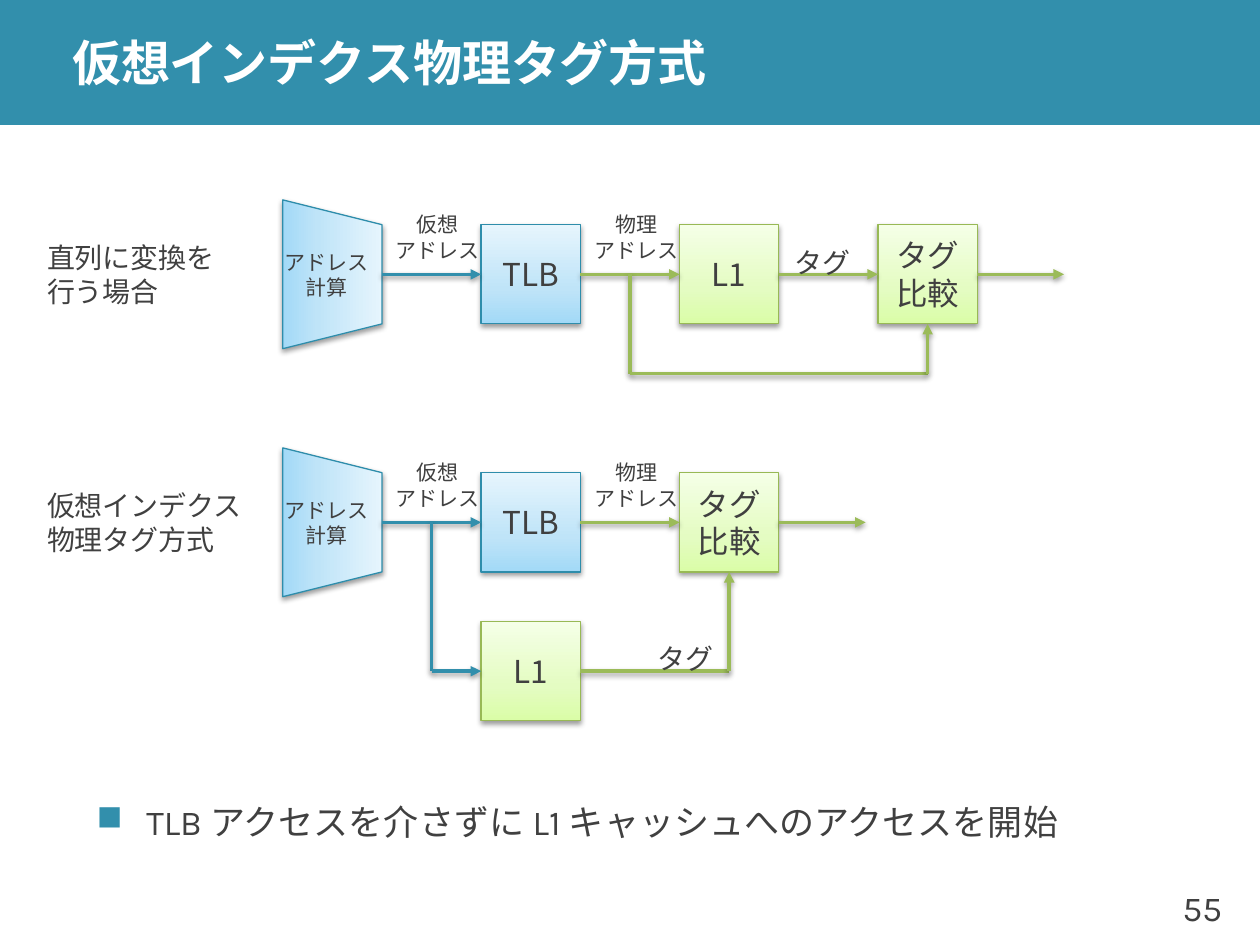
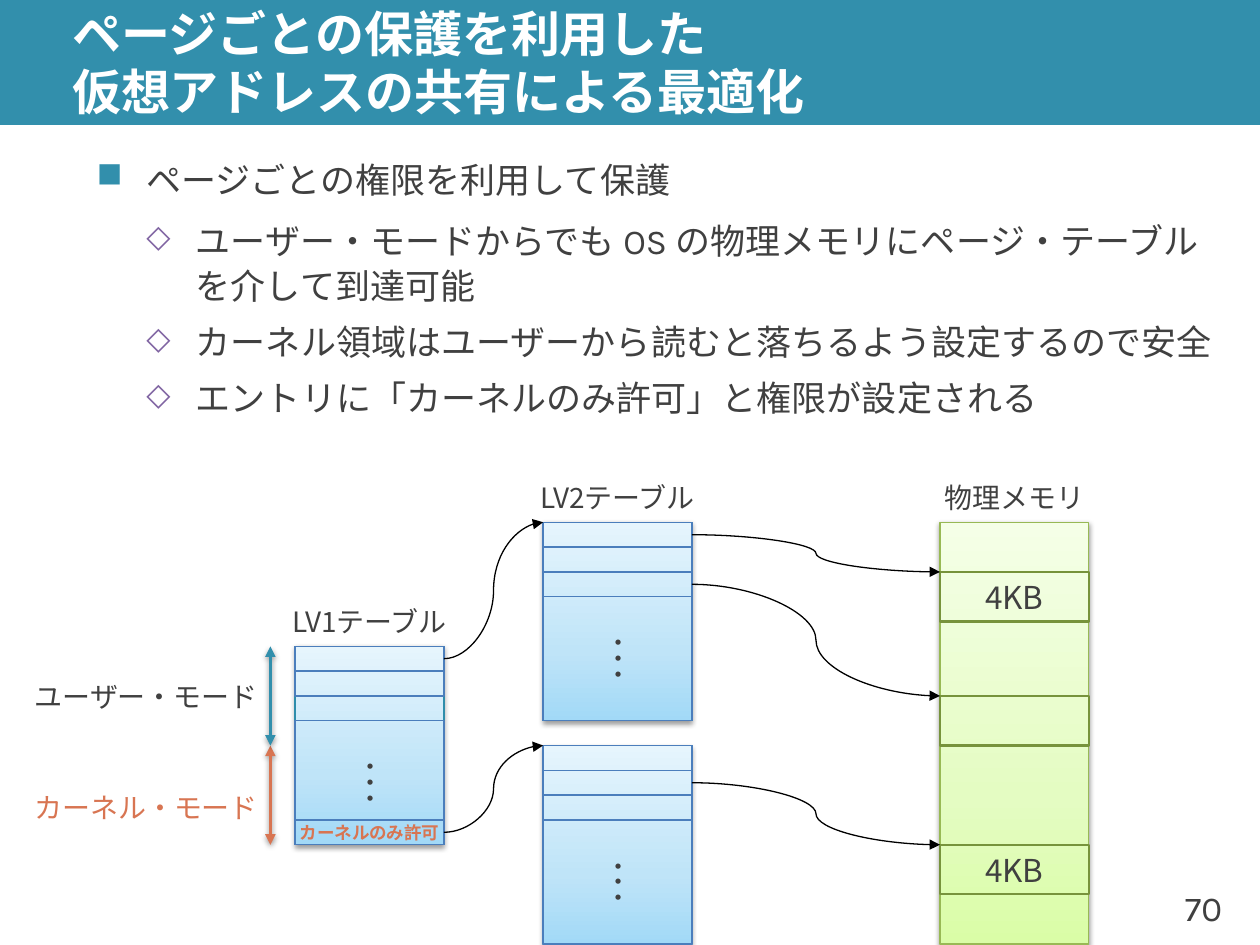
from dataclasses import dataclass
from pptx import Presentation
from pptx.dml.color import RGBColor
from pptx.enum import shapes, text
from pptx.oxml import parse_xml
from pptx.oxml.ns import nsdecls, qn
from pptx.util import Cm, Pt

TEAL = RGBColor(0x32, 0x8F, 0xAC)
TEAL_EDGE = RGBColor(0x2E, 0x8D, 0xAB)
GREEN = RGBColor(0x9B, 0xBB, 0x59)
GREEN_EDGE = RGBColor(0x98, 0xB9, 0x55)
BLOCK_EDGE = RGBColor(0x77, 0x93, 0x3C)
ROW_EDGE = RGBColor(0x4B, 0x7E, 0xBC)
PURPLE = RGBColor(0x80, 0x64, 0xA2)
ORANGE = RGBColor(0xD8, 0x75, 0x52)
INK = RGBColor(0x40, 0x40, 0x40)
BLACK = RGBColor(0, 0, 0)
WHITE = RGBColor(0xFF, 0xFF, 0xFF)

BLUE_BOX = (("A2D9F7", "BFE4F8", "E6F5FD"), TEAL_EDGE)
GREEN_BOX = (("DAFDA7", "E4FCC2", "F5FFE7"), GREEN_EDGE)
BODY_FONT, LABEL_FONT = "Karla", "Noto Sans CJK JP"
LEFT, CENTER, RIGHT = text.PP_ALIGN.LEFT, text.PP_ALIGN.CENTER, text.PP_ALIGN.RIGHT
RECT, TRAPEZOID = shapes.MSO_SHAPE.RECTANGLE, shapes.MSO_SHAPE.TRAPEZOID
STRAIGHT, CURVE = shapes.MSO_CONNECTOR.STRAIGHT, shapes.MSO_CONNECTOR.CURVE

# bullet, colour, size in percent, indent in cm, space before and after in pt
LEVELS = (("■", TEAL, 100, 1, 24, 6), ("◇", PURPLE, 90, 2, 3, 3))

TAG_METHOD = dict(
    title="仮想インデクス物理タグ方式", number="55", body_top=15.53, body_height=2,
    body=[(0, "TLB アクセスを介さずに L1 キャッシュへのアクセスを開始")])
PROTECTION = dict(
    title="ページごとの保護を利用した\v仮想アドレスの共有による最適化",
    number="70", body_top=3.28, body_height=5,
    body=[(0, "ページごとの権限を利用して保護"),
          (1, "ユーザー・モードからでも OS の物理メモリにページ・テーブルを介して到達可能"),
          (1, "カーネル領域はユーザーから読むと落ちるよう設定するので安全"),
          (1, "エントリに「カーネルのみ許可」と権限が設定される")])

# Diagram places are in cm, counted from the origin of the diagram.
ROW_MIDDLES = (5, 10)
ROW_HEADINGS = ("直列に変換を\n行う場合", "仮想インデクス\n物理タグ方式")
STAGES = [  # left, middle, text, style
    (9, 5, "TLB", BLUE_BOX), (13, 5, "L1", GREEN_BOX), (17, 5, "タグ\n比較", GREEN_BOX),
    (9, 10, "TLB", BLUE_BOX), (13, 10, "タグ\n比較", GREEN_BOX), (9, 13, "L1", GREEN_BOX)]
WIRES = [  # colour, corner points; the last stretch carries the arrowhead
    (TEAL, [(7, 5), (9, 5)]), (GREEN, [(11, 5), (13, 5)]),
    (GREEN, [(15, 5), (17, 5)]), (GREEN, [(19, 5), (20.75, 5)]),
    (GREEN, [(12, 5), (12, 7), (18, 7), (18, 6)]),
    (TEAL, [(7, 10), (9, 10)]), (GREEN, [(11, 10), (13, 10)]),
    (GREEN, [(15, 10), (16.75, 10)]),
    (TEAL, [(8, 10), (8, 13), (9, 13)]),
    (GREEN, [(11, 13), (14, 13), (14, 11)])]
TAG_LABELS = [(15, 4.25), (12.25, 12.25)]

TABLES = [  # left, top, tops of the thin rows, text of the last thin row
    (10, 10, (0, 0.5, 1), ""), (5, 12.5, (0, 0.5, 3.5), "カーネルのみ許可"),
    (10, 14.5, (0, 0.5, 1), "")]
MEMORY_BLOCKS = [(11, "4KB"), (13.5, ""), (16.5, "4KB")]
POINTERS = [((13, 10.25), (18, 11)), ((13, 11.25), (18, 13.5)), ((13, 15.25), (18, 16.5)),
            ((8, 12.75), (10, 10)), ((8, 16.25), (10, 14.5))]
MODES = [(16.5, 14.5, ORANGE), (14.5, 12.5, TEAL)]
CAPTIONS = [(18.5, 9, "物理メモリ", INK), (10.5, 9, "LV2テーブル", INK),
            (5.5, 11.5, "LV1テーブル", INK),
            (1, 13, "ユーザー・モード", INK), (1, 15.25, "カーネル・モード", ORANGE)]


def assign(target, **values):
    for name, value in values.items():
        setattr(target, name, value)


def style_span(span, size, color=INK, font=LABEL_FONT, bold=False):
    assign(span.font, name=font, size=Pt(size), bold=bold)
    span.font.color.rgb = color
    latin = span.font._element.find(qn("a:latin"))
    latin.addnext(parse_xml(f'<a:ea {nsdecls("a")} typeface="{font}"/>'))


def write(box, content, size, color=INK, align=CENTER, font=LABEL_FONT, bold=False, spacing=1.2):
    frame = box.text_frame
    assign(frame, text=content, word_wrap=False, auto_size=text.MSO_AUTO_SIZE.NONE,
           vertical_anchor=text.MSO_ANCHOR.MIDDLE)
    for para in frame.paragraphs:
        assign(para, alignment=align, line_spacing=Pt(round(size * spacing, 1)))
        for span in para.runs:
            style_span(span, size, color, font, bold)


def set_effects(item, shadow):
    """Append the effect list; the line must have been set before."""
    drop = ('<a:outerShdw blurRad="39370" dist="20320" dir="5400000" rotWithShape="0">'
            '<a:srgbClr val="000000"><a:alpha val="38000"/></a:srgbClr></a:outerShdw>')
    item._element.spPr.append(parse_xml(
        f'<a:effectLst {nsdecls("a")}>{drop if shadow else ""}</a:effectLst>'))


def set_gradient(shape, colors):
    stops = "".join(f'<a:gs pos="{place * 1000}"><a:srgbClr val="{color}"/></a:gs>'
                    for place, color in zip((0, 35, 100), colors))
    shape.fill.background()
    empty = shape._element.spPr.find(qn("a:noFill"))
    empty.getparent().replace(empty, parse_xml(
        f'<a:gradFill {nsdecls("a")} rotWithShape="1"><a:gsLst>{stops}</a:gsLst>'
        '<a:lin ang="16200000" scaled="0"/></a:gradFill>'))


def turn_text(shape):
    shape.text_frame._txBody.bodyPr.set("vert", "vert270")


@dataclass
class Diagram:
    page: object
    left: float
    top: float

    def place(self, x, y):
        return Cm(round(self.left + x, 2)), Cm(round(self.top + y, 2))

    def box(self, x, y, width, height, edge, colors=None, weight=0.75, kind=RECT):
        """Gradient box with a shadow, or a bare outline when no colours are given."""
        shape = self.page.shapes.add_shape(kind, *self.place(x, y), Cm(width), Cm(height))
        if colors:
            set_gradient(shape, colors)
        else:
            shape.fill.background()
        shape.line.color.rgb = edge
        shape.line.width = Pt(weight)
        set_effects(shape, bool(colors))
        return shape

    def label(self, x, y, content, size, width=1.75, **style):
        box = self.page.shapes.add_textbox(*self.place(x, y), Cm(width), Cm(1))
        write(box, content, size, **style)

    def line(self, start, end, color, weight=2, kind=STRAIGHT, ends=("tail",)):
        link = self.page.shapes.add_connector(kind, *self.place(*start), *self.place(*end))
        link.line.color.rgb = color
        link.line.width = Pt(weight)
        for end_name in ends:
            link.line._ln.append(parse_xml(
                f'<a:{end_name}End {nsdecls("a")} type="triangle"/>'))
        set_effects(link, kind == STRAIGHT)


def add_body(page, lines, top, height):
    box = page.shapes.add_textbox(Cm(1.7), Cm(top), Cm(23.01), Cm(height))
    frame = box.text_frame
    assign(frame, word_wrap=True, vertical_anchor=text.MSO_ANCHOR.MIDDLE, margin_right=Cm(0.2))
    for index, (level, content) in enumerate(lines):
        bullet, color, percent, indent, before, after = LEVELS[level]
        para = frame.add_paragraph() if index else frame.paragraphs[0]
        props = para._p.get_or_add_pPr()
        props.set("marL", str(Cm(indent)))
        props.set("indent", str(-Cm(1)))
        for part in (f'buClr {nsdecls("a")}><a:srgbClr val="{color}"/></a:buClr>',
                     f'buSzPct {nsdecls("a")} val="{percent * 1000}"/>',
                     f'buChar {nsdecls("a")} char="{bullet}"/>'):
            props.append(parse_xml("<a:" + part))
        assign(para, level=level, line_spacing=Pt(26), space_after=Pt(after),
               space_before=Pt(before if index else 0))
        span = para.add_run()
        span.text = content
        style_span(span, 20, font=BODY_FONT)


def add_page(deck, title, number, body, body_top, body_height):
    page = deck.slides.add_slide(deck.slide_layouts[5])
    band = page.shapes.add_shape(RECT, 0, 0, deck.slide_width, Cm(2.52))
    band.fill.solid()
    band.fill.fore_color.rgb = TEAL
    band.line.fill.background()
    band.shadow.inherit = False
    page.shapes._spTree.insert(2, band._element)

    heading = page.shapes.title
    assign(heading, left=Cm(1.2), top=0, width=Cm(24.2), height=Cm(2.52))
    write(heading, title, 28, WHITE, LEFT, BODY_FONT, bold=True, spacing=1.18)
    assign(heading.text_frame, word_wrap=True, margin_top=0, margin_bottom=0)

    add_body(page, body, body_top, body_height)
    box = page.shapes.add_textbox(Cm(23.19), Cm(17.53), Cm(1.7), Cm(1.52))
    write(box, number, 20, align=RIGHT, font=BODY_FONT)
    return page


def draw_pipelines(diagram):
    for middle, heading in zip(ROW_MIDDLES, ROW_HEADINGS):
        colors, edge = BLUE_BOX
        adder = diagram.box(4.5, middle - 1, 3, 2, edge, colors, kind=TRAPEZOID)
        adder.rotation = 90
        write(adder, "アドレス\n計算", 12)
        turn_text(adder)
        diagram.label(0, middle - 0.5, heading, 16, align=LEFT)
        for x, kind in ((7.25, "仮想"), (11.25, "物理")):
            diagram.label(x, middle - 1.25, kind + "\nアドレス", 12)
    for x, middle, name, (colors, edge) in STAGES:
        write(diagram.box(x, middle - 1, 2, 2, edge, colors), name, 18)
    for color, points in WIRES:
        for start, end in zip(points, points[1:]):
            diagram.line(start, end, color, ends=("tail",) if end == points[-1] else ())
    for x, y in TAG_LABELS:
        diagram.label(x, y, "タグ", 16)


def draw_page_tables(diagram):
    colors, edge = BLUE_BOX
    for x, y, rows, last_text in TABLES:
        diagram.box(x, y, 3, 4, edge, colors)
        rest = diagram.box(x, y + 1.5, 3, 2.5, ROW_EDGE)
        write(rest, "･･･", 18)
        turn_text(rest)
        for offset in rows:
            row = diagram.box(x, y + offset, 3, 0.5, ROW_EDGE)
        if last_text:
            write(row, last_text, 10, ORANGE, bold=True)

    colors, edge = GREEN_BOX
    diagram.box(18, 10, 3, 8.5, edge, colors)
    for y, size_text in MEMORY_BLOCKS:
        block = diagram.box(18, y, 3, 1, BLOCK_EDGE, weight=1.25)
        if size_text:
            write(block, size_text, 18)
    for start, end in POINTERS:
        diagram.line(start, end, BLACK, 0.75, CURVE)
    for bottom, top, color in MODES:
        diagram.line((4.5, bottom), (4.5, top), color, ends=("head", "tail"))
    for x, y, caption, color in CAPTIONS:
        diagram.label(x, y, caption, 16, width=2, color=color)


def main():
    deck = Presentation()
    assign(deck, slide_width=Cm(25.4), slide_height=Cm(19.05))
    draw_pipelines(Diagram(add_page(deck, **TAG_METHOD), 0.7, 0.53))
    draw_page_tables(Diagram(add_page(deck, **PROTECTION), 0.95, 0.53))
    deck.save("out.pptx")


if __name__ == "__main__":
    main()
